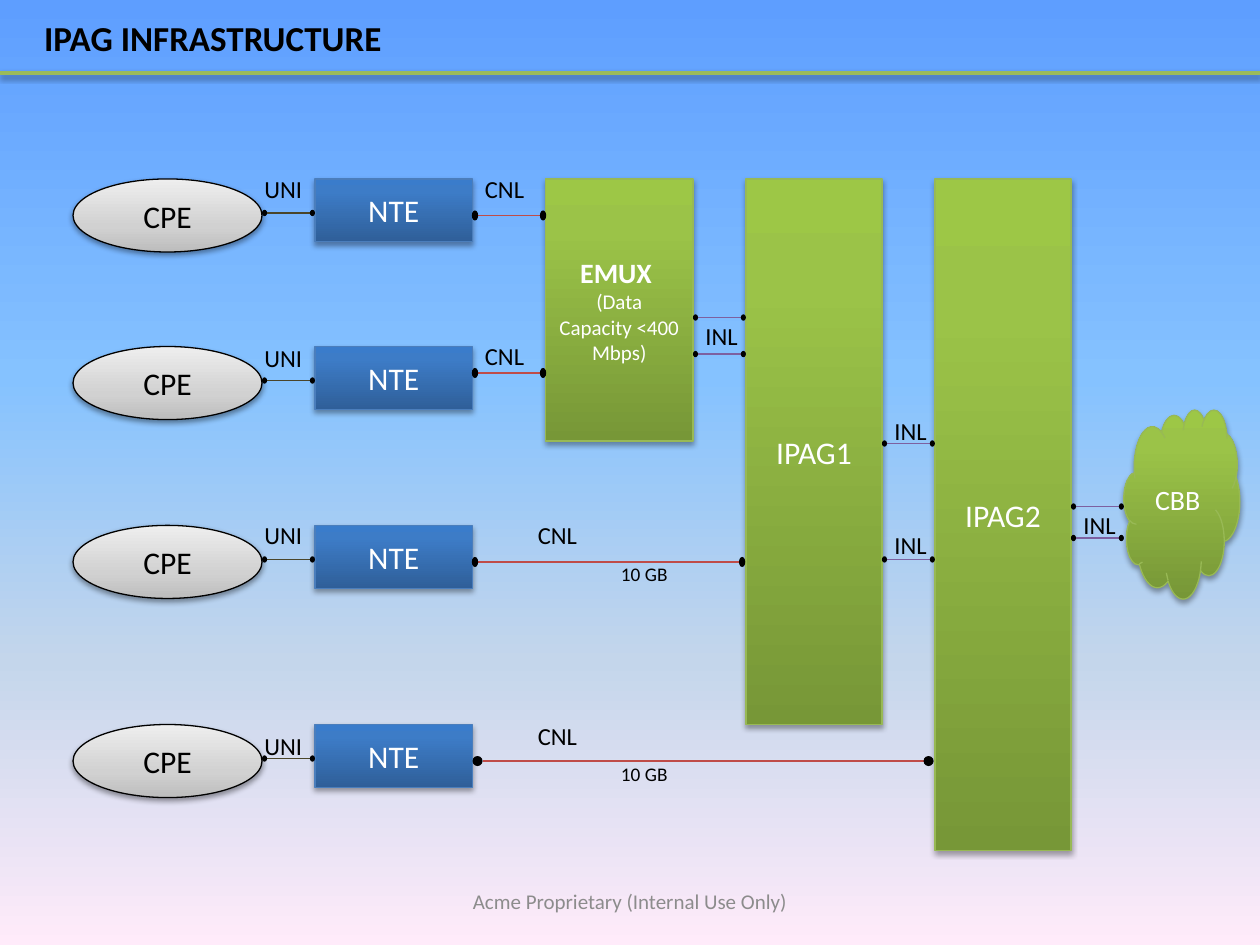
"""Build the IPAG infrastructure slide."""
from lxml import etree
from pptx import Presentation
from pptx.dml.color import RGBColor
from pptx.enum.shapes import MSO_CONNECTOR, MSO_SHAPE
from pptx.enum.text import MSO_ANCHOR, MSO_AUTO_SIZE, PP_ALIGN
from pptx.oxml.ns import qn
from pptx.util import Inches, Pt

OVAL, RECTANGLE, CLOUD = MSO_SHAPE.OVAL, MSO_SHAPE.RECTANGLE, MSO_SHAPE.CLOUD
DOT = MSO_SHAPE.FLOWCHART_CONNECTOR
STRAIGHT = MSO_CONNECTOR.STRAIGHT
LEFT, CENTER = PP_ALIGN.LEFT, PP_ALIGN.CENTER
TOP, MIDDLE = MSO_ANCHOR.TOP, MSO_ANCHOR.MIDDLE
FIXED = MSO_AUTO_SIZE.NONE

THEME = {
    "font": "Calibri",
    "black": "000000",
    "white": "FFFFFF",
    "footer": "8C8C8C",
    "rule": "9BBB59",
    "uni": "4A452A",
    "cnl": "BF4C48",
    "inl": "7D60A0",
    "background": [(0, "5E9EFF"), (40, "85C2FF"), (70, "C4D6EB"), (100, "FFEBFA")],
    "gray": {"stops": [(0, "BDBDBD"), (35, "D1D1D1"), (100, "EEEEEE")],
             "line": "000000", "text": "000000", "shadow": (38, 1.57)},
    "blue": {"stops": [(0, "2F5F99"), (80, "3D7CC7"), (100, "3A7CCB")],
             "line": "4B7EBC", "text": "FFFFFF", "shadow": (35, 1.81)},
    "green": {"stops": [(0, "779737"), (80, "9BC348"), (100, "9DC746")],
              "line": "98B955", "text": "FFFFFF", "shadow": (35, 1.81)},
    "title_size": 20,
    "node_size": 18,
    "small_node_size": 16,
    "label_size": 14,
    "note_size": 12,
    "speed_size": 11,
}


def paint_gradient(fill, element, stops, angle):
    """Fill an element with a linear gradient of any number of stops."""
    fill.gradient()
    fill.gradient_angle = angle
    stop_list = next(element.iter(qn("a:gsLst")))
    for stop in list(stop_list):
        stop_list.remove(stop)
    for position, color in stops:
        stop = etree.SubElement(stop_list, qn("a:gs"), pos=str(position * 1000))
        etree.SubElement(stop, qn("a:srgbClr"), val=color)


def set_shadow(shape, shadow=None):
    """Give a shape a soft shadow below it, or none."""
    effects = etree.SubElement(shape.element.spPr, qn("a:effectLst"))
    if shadow:
        opacity, distance = shadow
        outer = etree.SubElement(effects, qn("a:outerShdw"), blurRad=str(Pt(3.15)),
                                 dist=str(Pt(distance)), dir="5400000", rotWithShape="0")
        color = etree.SubElement(outer, qn("a:srgbClr"), val=THEME["black"])
        etree.SubElement(color, qn("a:alpha"), val=str(opacity * 1000))


presentation = Presentation()
presentation.slide_width = Inches(10)
presentation.slide_height = Inches(7.5)
slide = presentation.slides.add_slide(presentation.slide_layouts[5])
paint_gradient(slide.background.fill, slide.element, THEME["background"], 270)

black, node_size = THEME["black"], THEME["node_size"]
rows = [1.42, 2.75, 4.17, 5.75]
texts = []

nodes = [
    (RECTANGLE, "green", 4.33, 1.42, 1.17, 2.08,
     [("EMUX ", THEME["small_node_size"], True),
      ("(Data Capacity <400 Mbps)", THEME["note_size"], False)]),
    (RECTANGLE, "green", 5.92, 1.42, 1.08, 4.33, [("IPAG1", node_size, False)]),
    (RECTANGLE, "green", 7.42, 1.42, 1.08, 5.33, [("IPAG2", node_size, False)]),
    (CLOUD, "green", 8.92, 3.25, 0.92, 1.5, [("CBB", THEME["small_node_size"], False)]),
]
for row in rows:
    nodes.append((OVAL, "gray", 0.58, row, 1.5, 0.58, [("CPE", node_size, False)]))
    nodes.append((RECTANGLE, "blue", 2.5, row, 1.25, 0.5, [("NTE", node_size, False)]))

for kind, style_name, left, top, width, height, lines in nodes:
    style = THEME[style_name]
    shape = slide.shapes.add_shape(kind, Inches(left), Inches(top), Inches(width), Inches(height))
    paint_gradient(shape.fill, shape.element, style["stops"], 90)
    shape.line.color.rgb = RGBColor.from_string(style["line"])
    shape.line.width = Pt(0.75)
    set_shadow(shape, style["shadow"])
    texts.append((shape.text_frame, CENTER, MIDDLE, style["text"], lines))

small, tall, large = (0.05, 0.04), (0.08, 0.05), (0.08, 0.08)
links = [(2.1, 2.48, row + 0.27, small, "uni") for row in rows]
links += [(3.77, 4.31, y, tall, "cnl") for y in (1.71, 2.96)]
links += [(3.77, 5.89, 4.46, tall, "cnl"), (3.79, 7.37, 6.04, large, "cnl")]
links += [(x, x + 0.38, y, small, "inl") for x, y in
          [(5.52, 2.52), (5.52, 2.81), (7.02, 3.52), (7.02, 4.44), (8.52, 4.02), (8.52, 4.27)]]

for start, end, y, (dot_width, dot_height), color in links:
    group = slide.shapes.add_group_shape()
    line = group.shapes.add_connector(STRAIGHT, Inches(start + dot_height / 2), Inches(y),
                                      Inches(end - dot_height / 2), Inches(y))
    line.line.color.rgb = RGBColor.from_string(THEME[color])
    line.line.width = Pt(0.75)
    set_shadow(line)
    for center in (start, end):
        dot = group.shapes.add_shape(DOT, Inches(center - dot_width / 2), Inches(y - dot_height / 2),
                                     Inches(dot_width), Inches(dot_height))
        dot.rotation = 270
        dot.fill.solid()
        dot.fill.fore_color.rgb = RGBColor.from_string(black)
        dot.line.fill.background()
        dot.shadow.inherit = False

title = slide.shapes.title
title.left, title.top = Inches(0.25), Inches(0.08)
title.width, title.height = Inches(7.42), Inches(0.44)
texts.append((title.text_frame, LEFT, TOP, black,
              [("IPAG INFRASTRUCTURE", THEME["title_size"], True)]))

rule = slide.shapes.add_connector(STRAIGHT, Inches(0), Inches(0.58), Inches(10), Inches(0.58))
rule.line.color.rgb = RGBColor.from_string(THEME["rule"])
rule.line.width = Pt(2)
set_shadow(rule, THEME["gray"]["shadow"])

label_places = {
    "UNI": [(2, 1.33), (2, 2.67), (2, 4.08), (2, 5.75)],
    "CNL": [(3.75, 1.33), (3.75, 2.66), (4.17, 4.08), (4.17, 5.67)],
    "INL": [(5.5, 2.5), (7, 3.25), (7, 4.16), (8.5, 4)],
    "10 GB": [(4.83, 4.41), (4.83, 6)],
}
for label, places in label_places.items():
    size, height = (THEME["speed_size"], 0.29) if label == "10 GB" else (THEME["label_size"], 0.34)
    for left, top in places:
        box = slide.shapes.add_textbox(Inches(left), Inches(top), Inches(0.75), Inches(height))
        texts.append((box.text_frame, LEFT, TOP, black, [(label, size, False)]))

footer = slide.shapes.add_textbox(Inches(0.5), Inches(6.95), Inches(9), Inches(0.4))
texts.append((footer.text_frame, CENTER, MIDDLE, THEME["footer"],
              [("Acme Proprietary (Internal Use Only)", THEME["note_size"], False)]))

for frame, alignment, anchor, color, lines in texts:
    frame.word_wrap = True
    frame.auto_size = FIXED
    frame.vertical_anchor = anchor
    for index, (text, size, bold) in enumerate(lines):
        paragraph = frame.add_paragraph() if index else frame.paragraphs[0]
        paragraph.alignment = alignment
        run = paragraph.add_run()
        run.text = text
        run.font.name = THEME["font"]
        run.font.size = Pt(size)
        run.font.bold = bold
        run.font.color.rgb = RGBColor.from_string(color)

presentation.save("out.pptx")
